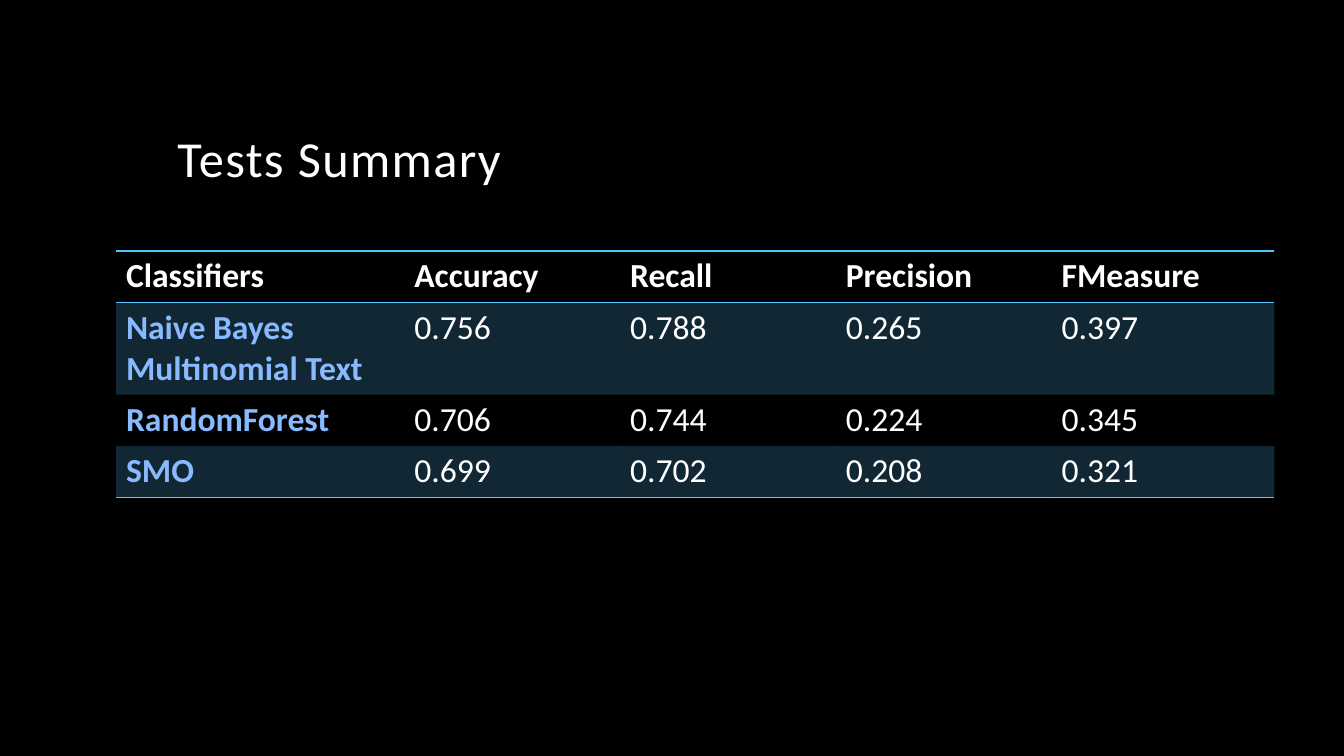
"""Build a slide that summarises classifier test results in a table."""
from lxml import etree
from pptx import Presentation
from pptx.dml.color import RGBColor
from pptx.enum.text import MSO_ANCHOR, PP_ALIGN
from pptx.oxml.ns import qn
from pptx.util import Inches, Pt

LEFT = PP_ALIGN.LEFT
BOTTOM = MSO_ANCHOR.BOTTOM
FONT = "Calibri"
WHITE, SKY, PERIWINKLE = "FFFFFF", "56C5FF", "89BAFF"
NO_STYLE = "{2D5ABB26-0587-4C30-8999-92F81FD0307C}"
RESULTS = [
    ["Classifiers", "Accuracy", "Recall", "Precision", "FMeasure"],
    ["Naive Bayes Multinomial Text", "0.756", "0.788", "0.265", "0.397"],
    ["RandomForest", "0.706", "0.744", "0.224", "0.345"],
    ["SMO", "0.699", "0.702", "0.208", "0.321"],
]
COLUMN_WIDTHS = [2.86, 2.14, 2.14, 2.14, 2.21]
ROW_HEIGHTS = [0.51, 0.91, 0.51, 0.51]


def style_run(run, size, color, bold=False):
    run.font.name = FONT
    run.font.size = Pt(size)
    run.font.bold = bold
    run.font.color.rgb = RGBColor.from_string(color)


def add_border(cell, side):
    line = etree.Element(qn(f"a:{side}"), w=str(Pt(1)))
    fill = etree.SubElement(line, qn("a:solidFill"))
    etree.SubElement(fill, qn("a:srgbClr"), val=SKY)
    cell._tc.get_or_add_tcPr().insert(0, line)


deck = Presentation()
deck.slide_width, deck.slide_height = Inches(13.33), Inches(7.5)
page = deck.slides.add_slide(deck.slide_layouts[5])
page.background.fill.solid()
page.background.fill.fore_color.rgb = RGBColor.from_string("000000")

title = page.shapes.title
title.left, title.top = Inches(1.66), Inches(0.42)
title.width, title.height = Inches(10), Inches(1.5)
title.text_frame.text = "Tests Summary"
title.text_frame.vertical_anchor = BOTTOM
heading = title.text_frame.paragraphs[0]
heading.alignment = LEFT
heading.line_spacing = 0.9
style_run(heading.runs[0], 36, WHITE)
heading.runs[0].font._element.set("spc", "100")

frame = page.shapes.add_table(
    len(RESULTS), len(COLUMN_WIDTHS), Inches(1.15), Inches(2.49),
    Inches(sum(COLUMN_WIDTHS)), Inches(sum(ROW_HEIGHTS)))
table = frame.table
table._tbl.tblPr.find(qn("a:tableStyleId")).text = NO_STYLE
table.first_col = True
for column, width in zip(table.columns, COLUMN_WIDTHS):
    column.width = Inches(width)
for row, height in zip(table.rows, ROW_HEIGHTS):
    row.height = Inches(height)

for row_index, values in enumerate(RESULTS):
    is_header = row_index == 0
    for column_index, value in enumerate(values):
        cell = table.cell(row_index, column_index)
        cell.text_frame.text = value
        is_label = column_index == 0 and not is_header
        style_run(cell.text_frame.paragraphs[0].runs[0], 24,
                  PERIWINKLE if is_label else WHITE, is_header or is_label)
        if row_index % 2:
            cell.fill.solid()
            cell.fill.fore_color.rgb = RGBColor.from_string(SKY)
            tint = cell._tc.tcPr.find(".//" + qn("a:srgbClr"))
            etree.SubElement(tint, qn("a:alpha"), val="20000")
        else:
            cell.fill.background()
        if is_header or row_index == len(RESULTS) - 1:
            add_border(cell, "lnB")
        if is_header:
            add_border(cell, "lnT")

deck.save("out.pptx")
